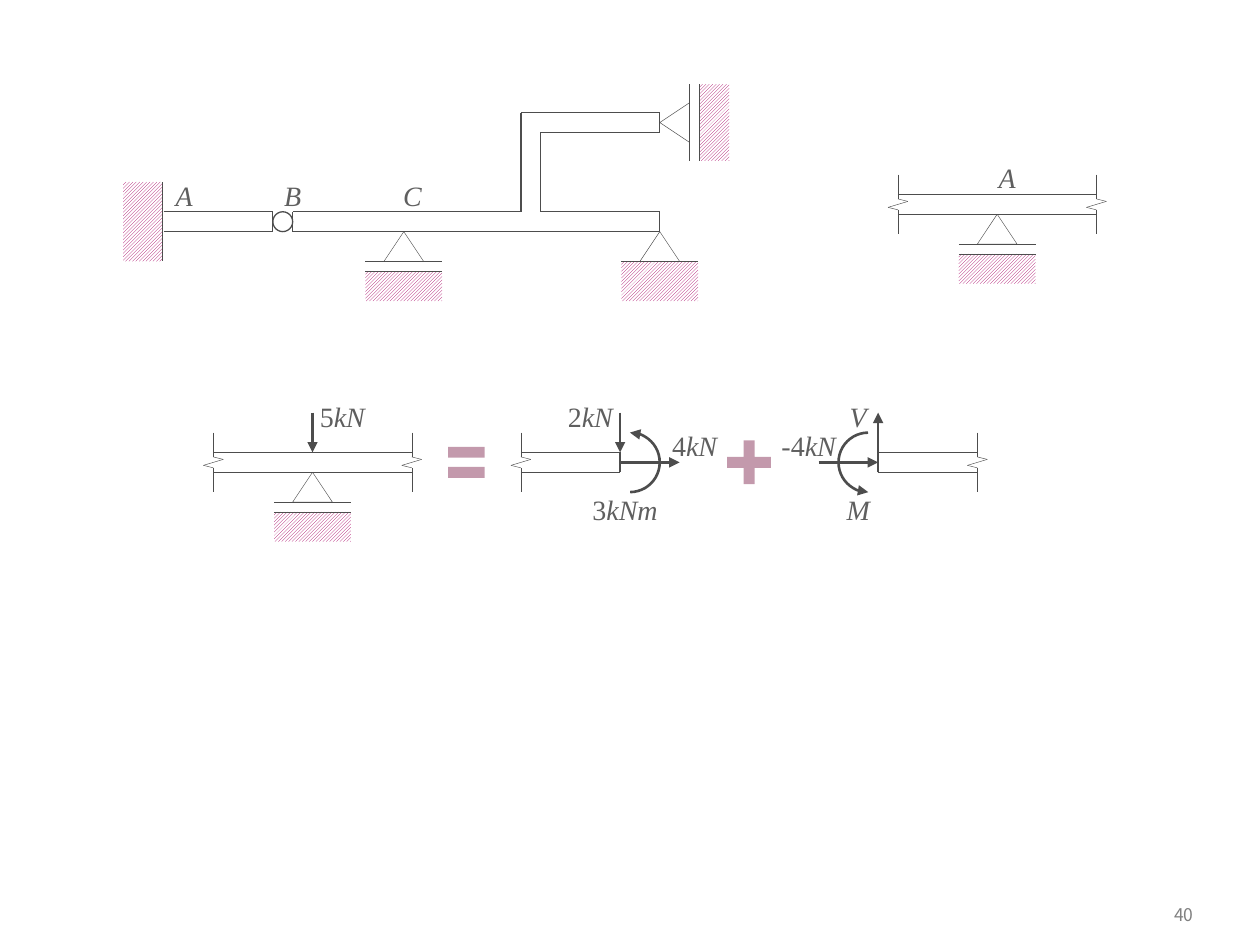
import itertools

import pptx
import pptx.dml.color
import pptx.enum.dml
import pptx.enum.shapes
import pptx.enum.text
import pptx.oxml
import pptx.oxml.ns
import pptx.util

SHAPE = pptx.enum.shapes.MSO_SHAPE
ALIGN = pptx.enum.text.PP_ALIGN

THEME = {
    "line": "4D4D4D", "text": "5F5F5F", "number": "808080",
    "hatch": "A90165", "paper": "FFFFFF", "operator": "6B0131",
    "serif": "Times New Roman", "sans": "Noto Sans CJK KR",
    "label_size": 16, "number_size": 10,
    "thin": 0.25, "beam": 0.75, "force": 1.5,
}

# Content: all positions are in cells of the drawing grid
CELL = 5.67  # points
DEPTH = 2    # beam depth
FRAME_Y, DETAIL_Y, ROW_Y = 21.35, 19.6, 45.6  # top edges of the beams

FRAME_LINES = [
    [(16.5, 0), (27.5, 0), (27.5, 2), (16.5, 2)],
    [(52.5, 0), (29.5, 0), (29.5, 2), (66.5, 2), (66.5, 0), (54.5, 0),
     (54.5, -8), (66.5, -8), (66.5, -10), (52.5, -10), (52.5, 0)],
]
FRAME_NAMES = [("A", 16.5, 3), ("B", 27.5, 2), ("C", 39.5, 2)]
BREAK = [(0, -2), (0, 0.45), (1, 0.7), (-1, 1.3), (0, 1.55), (0, 4)]

# Free bodies: beam ends, broken ends, cut end, support, arrows, moment, labels
# (number, unit, x, y, width)
ABOVE, BESIDE, BELOW = -5.35, -2.4, 4.05
FREE_BODIES = [
    {"beam": (21.5, 41.5), "breaks": (21.5, 41.5), "support": 31.5,
     "arrows": [((31.5, -4), (31.5, 0))],
     "labels": [("5", "kN", 31.5, ABOVE, 6)]},
    {"beam": (52.5, 62.5), "breaks": (52.5,), "cut": 62.5,
     "arrows": [((62.5, -4), (62.5, 0)), ((62.5, 1), (68.5, 1))],
     "moment": (60.5, 0),
     "labels": [("2", "kN", 56.5, ABOVE, 6), ("3", "kNm", 59.5, BELOW, 7),
                ("4", "kN", 67.5, BESIDE, 5)]},
    {"beam": (88.5, 98.5), "breaks": (98.5,), "cut": 88.5,
     "arrows": [((82.5, 1), (88.5, 1)), ((88.5, 0), (88.5, -4))],
     "moment": (84.5, 180),
     "labels": [("", "V", 84.5, ABOVE, 4), ("", "M", 84.5, BELOW, 4),
                ("-4", "kN", 78.5, BESIDE, 6)]},
]
OPERATORS = [
    (SHAPE.MATH_EQUAL, 44.5, -3, 5, 8, (0.136, 0.118)),
    (SHAPE.MATH_PLUS, 72.5, -2, 6, 6, (0.185,)),
]


def cells(*values):
    return [pptx.util.Pt(round(value * CELL, 2)) for value in values]


def rgb(key):
    return pptx.dml.color.RGBColor.from_string(THEME[key])


def draw_outline(item, weight, arrow=None):
    """Colour the outline; arrow is headEnd or tailEnd."""
    item.line.color.rgb = rgb("line")
    item.line.width = pptx.util.Pt(THEME[weight])
    if arrow:
        outline = item.element.spPr.find(pptx.oxml.ns.qn("a:ln"))
        outline.append(pptx.oxml.parse_xml(
            f'<a:{arrow} {pptx.oxml.ns.nsdecls("a")} type="triangle"/>'))


def add_stroke(parent, start, end, weight, arrow=None):
    stroke = parent.shapes.add_connector(
        pptx.enum.shapes.MSO_CONNECTOR.STRAIGHT, *cells(*start, *end))
    draw_outline(stroke, weight, arrow)
    stroke.element.spPr.append(pptx.oxml.parse_xml(
        f'<a:effectLst {pptx.oxml.ns.nsdecls("a")}/>'))


def add_path(parent, points, weight, x=0, y=0):
    moved = [(x + px, y + py) for px, py in points]
    for start, end in itertools.pairwise(moved):
        add_stroke(parent, start, end, weight)


def add_figure(parent, kind, x, y, width, height, rotation=0, adjust=()):
    figure = parent.shapes.add_shape(kind, *cells(x, y, width, height))
    figure.shadow.inherit = False
    figure.rotation = rotation
    figure.fill.background()
    figure.line.fill.background()
    for index, value in enumerate(adjust):
        figure.adjustments[index] = value
    return figure


def add_centred(parent, kind, centre, width, height, rotation=0):
    return add_figure(parent, kind, centre[0] - width / 2,
                      centre[1] - height / 2, width, height, rotation)


def add_hatch(parent, centre, width, height, rotation=0):
    ground = add_centred(parent, SHAPE.RECTANGLE, centre, width, height, rotation)
    ground.fill.patterned()
    ground.fill.pattern = pptx.enum.dml.MSO_PATTERN.LIGHT_UPWARD_DIAGONAL
    ground.fill.fore_color.rgb = rgb("hatch")
    ground.fill.back_color.rgb = rgb("paper")


def add_support(parent, x, y, roller=True, sideways=False):
    """Triangle with its tip at x, y, on a fixed or a rolling ground."""
    def at(along, away):
        return (x + away, y + along) if sideways else (x + along, y + away)

    rotation = 270 if sideways else 0
    surface, thickness, half = (4, 3, 3.87) if roller else (3, 4, 3.87)
    add_hatch(parent, at(0, surface + thickness / 2), 2 * half, thickness, rotation)
    for level in range(3, surface + 1):
        add_stroke(parent, at(-half, level), at(half, level), "thin")
    draw_outline(add_centred(parent, SHAPE.ISOSCELES_TRIANGLE, at(0, 1.5),
                             4, 3, rotation), "thin")


def add_broken_beam(parent, left, right, y, breaks):
    for edge in (0, DEPTH):
        add_stroke(parent, (left, y + edge), (right, y + edge), "beam")
    for x in breaks:
        add_path(parent, BREAK, "thin", x, y)


def add_text(parent, box, runs, font, size, colour, align, insets):
    """Runs are (words, italic); insets are left, top, right, bottom."""
    frame = parent.shapes.add_textbox(*box).text_frame
    frame.word_wrap = False
    (frame.margin_left, frame.margin_top,
     frame.margin_right, frame.margin_bottom) = map(pptx.util.Pt, insets)
    paragraph = frame.paragraphs[0]
    paragraph.alignment = align
    for words, italic in runs:
        run = paragraph.add_run()
        run.text = words
        run.font.name = THEME[font]
        run.font.size = pptx.util.Pt(THEME[size])
        run.font.italic = italic
        run.font.color.rgb = rgb(colour)
    return frame


def add_label(parent, runs, x, y, width, height=3.4, insets=(0, 0, 0, 0)):
    add_text(parent, cells(x, y, width, height), runs,
             "serif", "label_size", "text", ALIGN.CENTER, insets)


def add_point_name(parent, name, x, beam_y, width):
    add_label(parent, [(name, True)], x, beam_y - 4, width, 4.7, (6.5, 3.6, 0, 3.6))


def build_frame(slide):
    group = slide.shapes.add_group_shape()
    middle = FRAME_Y + DEPTH / 2
    add_hatch(group, (14.4, middle), 8, 4, 90)
    add_stroke(group, (16.4, middle - 4), (16.4, middle + 4), "thin")
    for points in FRAME_LINES:
        add_path(group, points, "beam", 0, FRAME_Y)
    hinge = add_figure(group, SHAPE.OVAL, 27.5, FRAME_Y, DEPTH, DEPTH)
    draw_outline(hinge, "beam")
    add_support(group, 40.7, FRAME_Y + DEPTH)
    add_support(group, 66.5, FRAME_Y + DEPTH, roller=False)
    add_support(group, 66.5, FRAME_Y - 9, sideways=True)
    for name, x, width in FRAME_NAMES:
        add_point_name(group, name, x, FRAME_Y, width)


def build_detail(slide):
    group = slide.shapes.add_group_shape()
    add_broken_beam(group, 90.5, 110.5, DETAIL_Y, (90.5, 110.5))
    add_support(group, 100.5, DETAIL_Y + DEPTH)
    add_point_name(group, "A", 99.5, DETAIL_Y, 2)


def build_free_body(slide, body):
    group = slide.shapes.add_group_shape()
    add_broken_beam(group, *body["beam"], ROW_Y, body["breaks"])
    if "support" in body:
        add_support(group, body["support"], ROW_Y + DEPTH)
    if "cut" in body:
        add_stroke(group, (body["cut"], ROW_Y + DEPTH), (body["cut"], ROW_Y), "beam")
    for (x1, y1), (x2, y2) in body["arrows"]:
        add_stroke(group, (x1, ROW_Y + y1), (x2, ROW_Y + y2), "force", "tailEnd")
    if "moment" in body:
        x, rotation = body["moment"]
        moment = add_figure(group, SHAPE.ARC, x, ROW_Y - 2, 6, 6, rotation, (162, 53.72))
        draw_outline(moment, "force", "headEnd")
    for number, unit, x, y, width in body["labels"]:
        runs = [(number, False)] if number else []
        add_label(group, runs + [(unit, True)], x, ROW_Y + y, width)


def add_operator(slide, kind, x, y, width, height, adjust):
    operator = add_figure(slide, kind, x, ROW_Y + y, width, height, 0, adjust)
    operator.fill.solid()
    operator.fill.fore_color.rgb = rgb("operator")
    colour = operator.element.spPr.find(".//" + pptx.oxml.ns.qn("a:srgbClr"))
    colour.append(pptx.oxml.parse_xml(
        f'<a:alpha {pptx.oxml.ns.nsdecls("a")} val="40000"/>'))


def main():
    deck = pptx.Presentation()
    deck.slide_width, deck.slide_height = pptx.util.Pt(720), pptx.util.Pt(540)
    slide = deck.slides.add_slide(deck.slide_layouts[6])

    # Page number
    number_box = [pptx.util.Pt(value) for value in (638, 510.5, 51, 24)]
    number = add_text(slide, number_box, [("40", False)], "sans", "number_size",
                      "number", ALIGN.RIGHT, (7.2, 3.6, 7.2, 3.6))
    number.word_wrap = True
    number.vertical_anchor = pptx.enum.text.MSO_ANCHOR.MIDDLE

    # Structure and its support detail
    build_frame(slide)
    build_detail(slide)

    # Equation of free bodies
    for body in FREE_BODIES:
        build_free_body(slide, body)
    for operator in OPERATORS:
        add_operator(slide, *operator)

    deck.save("out.pptx")


if __name__ == "__main__":
    main()
